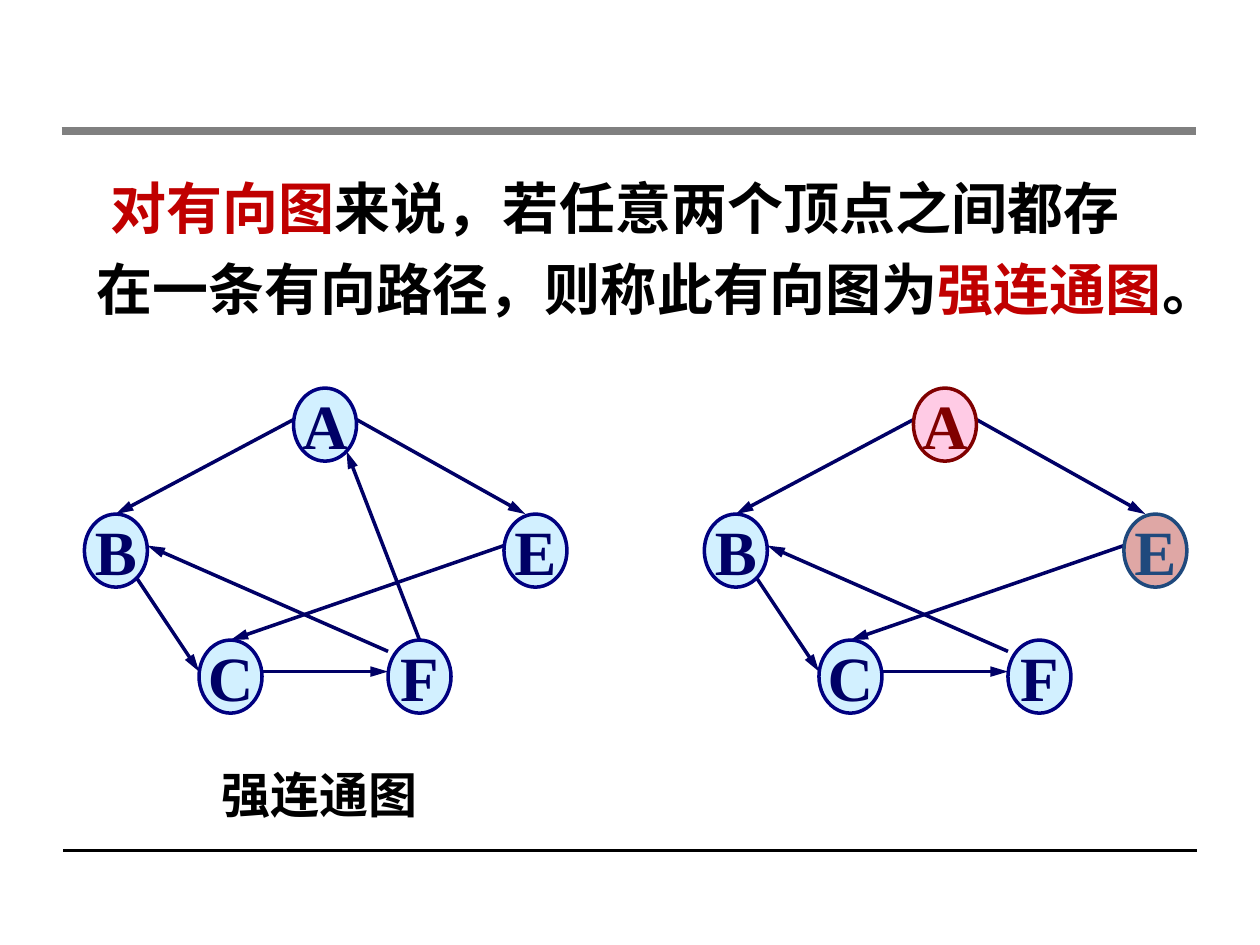
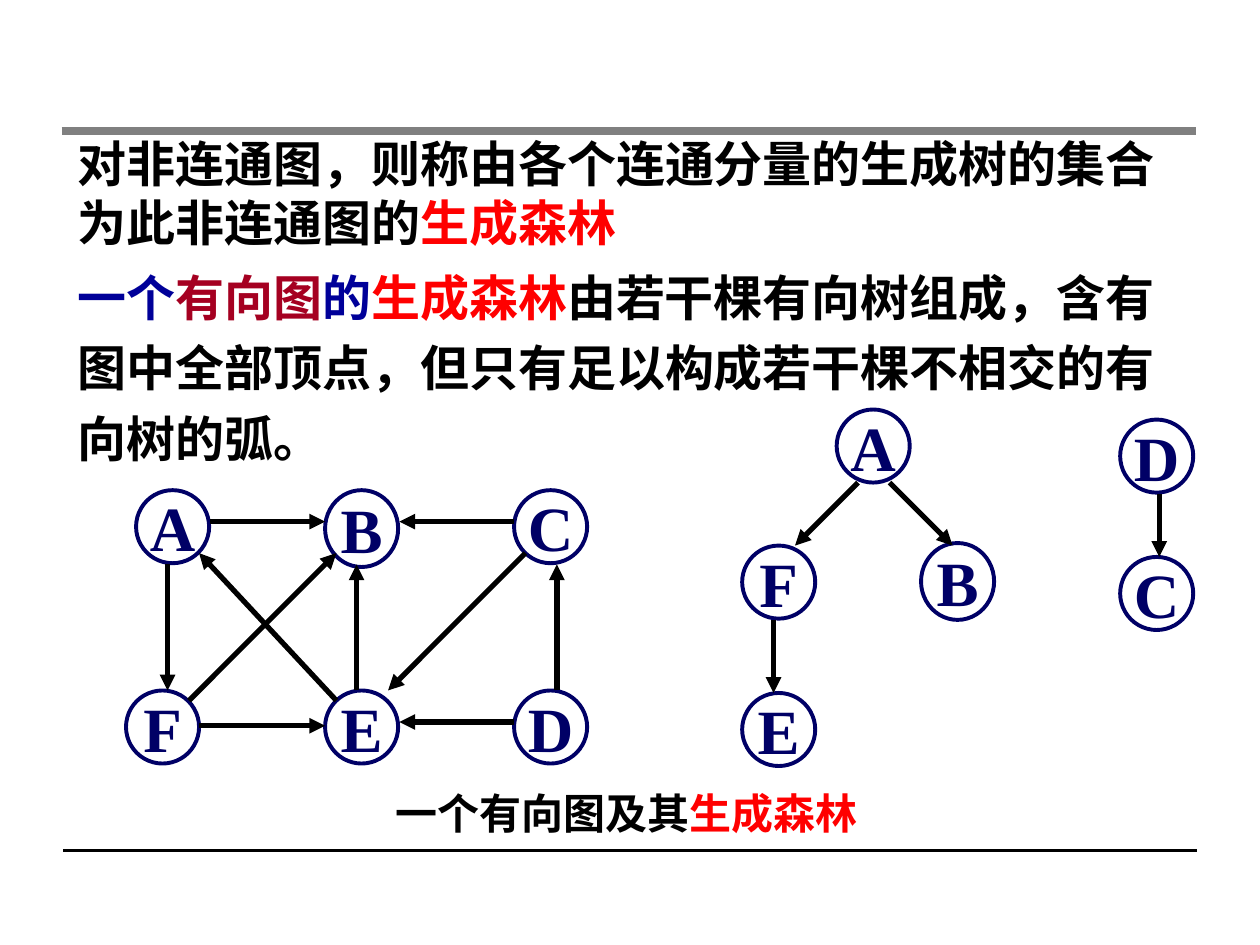
from dataclasses import dataclass, replace
from typing import Any, Optional

import lxml.etree
import pptx
import pptx.dml.color
import pptx.enum.shapes
import pptx.enum.text
import pptx.oxml.ns
import pptx.slide
import pptx.util

Inches = pptx.util.Inches
Pt = pptx.util.Pt
qn = pptx.oxml.ns.qn

FONT = "Times New Roman"
COLORS = {
    "black": "000000",
    "rule": "808080",
    "navy": "000066",
    "outline": "000080",
    "ice": "A7E2FF",
    "pink": "FF99CC",
    "maroon": "800000",
    "clay": "C0504D",
    "steel": "1F497D",
    "deep_red": "C00000",
    "red": "FF0000",
    "crimson": "A50021",
    "blue": "000099",
}


@dataclass(frozen=True)
class NodeStyle:
    line: str
    text: str
    width: float
    fill: Optional[str] = None


@dataclass(frozen=True)
class Node:
    label: str
    left: float
    top: float
    style: NodeStyle
    width: float = 0.58
    height: float = 0.58


@dataclass(frozen=True)
class Edge:
    x1: float
    y1: float
    x2: float
    y2: float


@dataclass(frozen=True)
class EdgeStyle:
    color: str
    width: float
    head_length: str
    behind_nodes: bool


ICE_NODE = NodeStyle("outline", "navy", 2, "ice")
PINK_NODE = NodeStyle("maroon", "maroon", 2, "pink")
CLAY_NODE = NodeStyle("steel", "steel", 2, "clay")
OPEN_NODE = NodeStyle("navy", "navy", 2.25)
NAVY_EDGE = EdgeStyle("navy", 2, "lg", True)
BLACK_EDGE = EdgeStyle("black", 3, "med", False)

STRONG_NODES = [
    Node(label, left, top, ICE_NODE, width=0.5)
    for label, left, top in [
        ("A", 2.33, 3.08), ("B", 0.67, 4.08), ("E", 4, 4.08),
        ("C", 1.58, 5.08), ("F", 3.08, 5.08),
    ]
]
WEAK_EDGES = [
    Edge(2.33, 3.33, 0.92, 4.08),
    Edge(1.08, 4.58, 1.58, 5.33),
    Edge(2.08, 5.33, 3.08, 5.33),
    Edge(2.83, 3.33, 4.17, 4.08),
    Edge(3.08, 5.17, 1.17, 4.33),
    Edge(4, 4.33, 1.83, 5.08),
]
F_TO_A = Edge(3.33, 5.08, 2.75, 3.58)
WEAK_OFFSET = 4.92
WEAK_STYLES = {"A": PINK_NODE, "E": CLAY_NODE}

DIGRAPH_NODES = [
    Node("B", 2.58, 3.89, OPEN_NODE, height=0.61),
    Node("A", 1.08, 3.89, OPEN_NODE),
    Node("C", 4.08, 3.89, OPEN_NODE),
    Node("D", 4.08, 5.48, OPEN_NODE),
    Node("F", 1, 5.48, OPEN_NODE),
    Node("E", 2.58, 5.48, OPEN_NODE),
]
DIGRAPH_EDGES = [
    Edge(1.33, 4.48, 1.33, 5.48),
    Edge(1.67, 4.14, 2.58, 4.14),
    Edge(4.08, 4.14, 3.17, 4.14),
    Edge(4.42, 5.48, 4.42, 4.48),
    Edge(4.08, 5.73, 3.17, 5.73),
    Edge(4.17, 4.39, 3.08, 5.48),
    Edge(2.83, 5.48, 2.83, 4.48),
    Edge(1.58, 5.76, 2.58, 5.76),
    Edge(2.67, 5.56, 1.58, 4.39),
    Edge(1.5, 5.56, 2.67, 4.39),
]
FOREST_NODES = [
    Node("B", 7.31, 4.31, OPEN_NODE, height=0.61),
    Node("A", 6.64, 3.25, OPEN_NODE),
    Node("C", 8.89, 4.42, OPEN_NODE),
    Node("D", 8.89, 3.33, OPEN_NODE),
    Node("F", 5.89, 4.33, OPEN_NODE),
    Node("E", 5.89, 5.5, OPEN_NODE),
]
FOREST_EDGES = [
    Edge(6.81, 3.83, 6.31, 4.33),
    Edge(7.06, 3.83, 7.56, 4.33),
    Edge(6.14, 4.92, 6.14, 5.5),
    Edge(9.2, 3.92, 9.2, 4.42),
]


def rgb(name: str) -> pptx.dml.color.RGBColor:
    return pptx.dml.color.RGBColor.from_string(COLORS[name])


def write_text(frame: Any, runs: list[tuple[str, str]], *, size: float,
               line_spacing: Optional[float] = None, first_indent: float = 0,
               align: Optional[pptx.enum.text.PP_ALIGN] = None) -> None:
    paragraph = frame.paragraphs[0]
    paragraph.alignment = align
    if line_spacing:
        paragraph.line_spacing = line_spacing
    if first_indent:
        properties = paragraph._p.get_or_add_pPr()
        properties.set("marL", "0")
        properties.set("indent", str(Inches(first_indent)))
    for text, color in runs:
        run = paragraph.add_run()
        run.text = text
        run.font.name = FONT
        run.font.size = Pt(size)
        run.font.bold = True
        run.font.color.rgb = rgb(color)


def add_text(slide: pptx.slide.Slide, left: float, top: float, width: float, height: float,
             runs: list[tuple[str, str]], **text_format: Any) -> None:
    shape = slide.shapes.add_textbox(Inches(left), Inches(top), Inches(width), Inches(height))
    shape.text_frame.word_wrap = True
    shape.text_frame.auto_size = pptx.enum.text.MSO_AUTO_SIZE.SHAPE_TO_FIT_TEXT
    write_text(shape.text_frame, runs, **text_format)


def add_line(shapes: Any, edge: Edge, color: str, width: float,
             head_length: Optional[str] = None) -> None:
    connector = shapes.add_connector(
        pptx.enum.shapes.MSO_CONNECTOR.STRAIGHT,
        Inches(edge.x1), Inches(edge.y1), Inches(edge.x2), Inches(edge.y2))
    connector.line.color.rgb = rgb(color)
    connector.line.width = Pt(width)
    if head_length:
        lxml.etree.SubElement(connector.line._get_or_add_ln(), qn("a:tailEnd"),
                              type="triangle", w="med", len=head_length)
    lxml.etree.SubElement(connector._element.spPr, qn("a:effectLst"))


def add_node(shapes: Any, node: Node) -> None:
    shape = shapes.add_shape(
        pptx.enum.shapes.MSO_SHAPE.OVAL,
        Inches(node.left), Inches(node.top), Inches(node.width), Inches(node.height))
    shape.shadow.inherit = False
    if node.style.fill:
        shape.fill.solid()
        shape.fill.fore_color.rgb = rgb(node.style.fill)
        color = shape._element.spPr.find(qn("a:solidFill"))[0]
        lxml.etree.SubElement(color, qn("a:alpha"), val="50000")
    else:
        shape.fill.background()
    shape.line.color.rgb = rgb(node.style.line)
    shape.line.width = Pt(node.style.width)
    frame = shape.text_frame
    frame.word_wrap = False
    frame.vertical_anchor = pptx.enum.text.MSO_ANCHOR.MIDDLE
    write_text(frame, [(node.label, node.style.text)], size=36,
               align=pptx.enum.text.PP_ALIGN.CENTER)


def add_graph(slide: pptx.slide.Slide, nodes: list[Node], edges: list[Edge],
              style: EdgeStyle) -> None:
    shapes = slide.shapes.add_group_shape().shapes
    if not style.behind_nodes:
        for node in nodes:
            add_node(shapes, node)
    for edge in edges:
        add_line(shapes, edge, style.color, style.width, style.head_length)
    if style.behind_nodes:
        for node in nodes:
            add_node(shapes, node)


def add_ruled_slide(presentation: Any) -> pptx.slide.Slide:
    slide = presentation.slides.add_slide(presentation.slide_layouts[6])
    add_line(slide.shapes, Edge(0.5, 6.75, 9.5, 6.75), "black", 2)
    add_line(slide.shapes, Edge(0.49, 1.04, 9.49, 1.04), "rule", 5)
    return slide


def build_strong_connectivity(presentation: Any) -> None:
    slide = add_ruled_slide(presentation)
    add_text(slide, 0.67, 1.22, 8.75, 1.39, [
        ("对有向图", "deep_red"),
        ("来说，若任意两个顶点之间都存在一条有向路径，则称此有向图为", "black"),
        ("强连通图", "deep_red"),
        ("。", "black"),
    ], size=32, line_spacing=1.2, first_indent=0.11)
    add_graph(slide, STRONG_NODES, WEAK_EDGES + [F_TO_A], NAVY_EDGE)
    weak_nodes = [
        replace(node, left=node.left + WEAK_OFFSET,
                style=WEAK_STYLES.get(node.label, node.style))
        for node in STRONG_NODES
    ]
    weak_edges = [
        replace(edge, x1=edge.x1 + WEAK_OFFSET, x2=edge.x2 + WEAK_OFFSET)
        for edge in WEAK_EDGES
    ]
    add_graph(slide, weak_nodes, weak_edges, NAVY_EDGE)
    add_text(slide, 1.66, 6.02, 2.63, 0.57, [("强连通图", "black")], size=28)


def build_spanning_forest(presentation: Any) -> None:
    slide = add_ruled_slide(presentation)
    add_text(slide, 0.52, 1.98, 8.83, 1.8, [
        ("一个", "blue"),
        ("有向图", "crimson"),
        ("的", "blue"),
        ("生成森林", "red"),
        ("由若干棵有向树组成，含有图中全部顶点，但只有足以构成若干棵不相交的有向树的弧。", "black"),
    ], size=28, line_spacing=1.2)
    add_graph(slide, DIGRAPH_NODES, DIGRAPH_EDGES, BLACK_EDGE)
    add_graph(slide, FOREST_NODES, FOREST_EDGES, BLACK_EDGE)
    add_text(slide, 3.04, 6.2, 4.82, 0.5,
             [("一个有向图及其", "black"), ("生成森林", "red")], size=24)
    add_text(slide, 0.52, 1.01, 8.93, 1.04, [
        ("对非连通图，则称由各个连通分量的生成树的集合为此非连通图的", "black"),
        ("生成森林", "red"),
    ], size=28)


def main() -> None:
    presentation = pptx.Presentation()
    presentation.slide_width = Inches(10)
    presentation.slide_height = Inches(7.5)
    build_strong_connectivity(presentation)
    build_spanning_forest(presentation)
    presentation.save("out.pptx")


if __name__ == "__main__":
    main()
